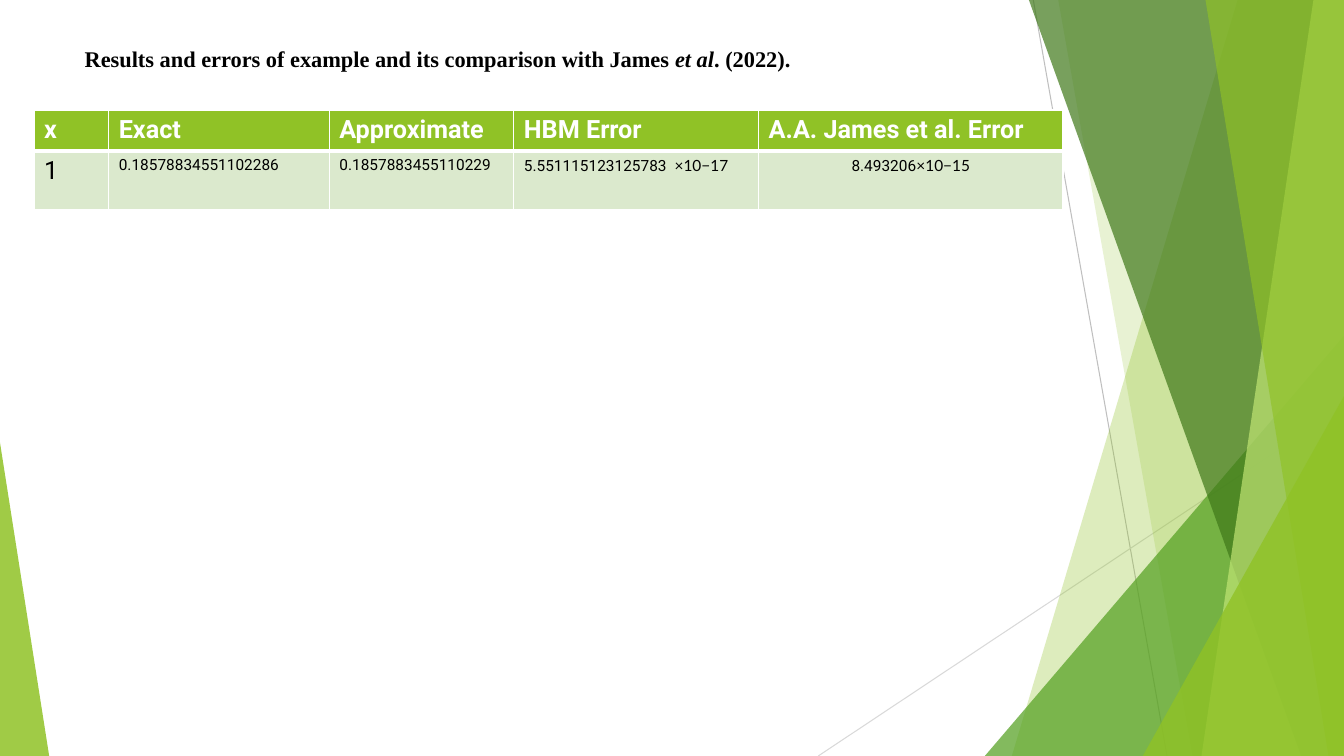
from lxml.etree import SubElement
from pptx import Presentation
from pptx.dml.color import RGBColor
from pptx.enum.shapes import MSO_CONNECTOR, MSO_SHAPE
from pptx.enum.text import MSO_ANCHOR as ANCHOR, MSO_AUTO_SIZE, PP_ALIGN as ALIGN
from pptx.oxml.ns import qn
from pptx.util import Cm, Pt

WHITE = RGBColor(0xFF, 0xFF, 0xFF)
BLACK = RGBColor(0x00, 0x00, 0x00)
LIME = RGBColor(0x90, 0xC2, 0x26)
PALE_LIME = RGBColor(0xC0, 0xE4, 0x74)
GREEN = RGBColor(0x54, 0xA0, 0x21)
DARK_GREEN = RGBColor(0x3F, 0x78, 0x19)
MIST = RGBColor(0xDB, 0xE9, 0xCD)
GREY = RGBColor(0xBF, 0xBF, 0xBF)
LIGHT_GREY = RGBColor(0xD9, 0xD9, 0xD9)

WIDTH, HEIGHT = 33.87, 19.05
COLUMNS = [1.88, 5.56, 4.65, 6.17, 7.67]
ROWS = [1.04, 1.47]
HEADERS = ["x", "Exact", "Approximate", "HBM Error", "A.A. James et al. Error"]


def add_text(p, text, size=11, font="Roboto", color=BLACK, bold=False, italic=False):
    r = p.add_run()
    r.text = text
    f = r.font
    f.size, f.name, f.bold, f.italic = Pt(size), font, bold, italic
    f.color.rgb = color


def fill_shape(sp, color, opacity):
    sp.shadow.inherit = False
    sp.fill.solid()
    sp.fill.fore_color.rgb = color
    sp.line.fill.background()
    clr = sp.fill._xPr.find(qn("a:solidFill"))[0]
    SubElement(clr, qn("a:alpha")).set("val", str(opacity * 1000))


def add_line(s, x1, y1, x2, y2, color):
    c = s.shapes.add_connector(MSO_CONNECTOR.STRAIGHT, Cm(x1), Cm(y1), Cm(x2), Cm(y2))
    c.line.color.rgb = color
    c.line.width = Pt(0.75)
    SubElement(c._element.spPr, qn("a:effectLst"))


def add_band(s, top_x, bottom_x, color, opacity):
    fb = s.shapes.build_freeform(Cm(top_x), 0)
    corners = [(WIDTH, 0), (WIDTH, HEIGHT), (bottom_x, HEIGHT)]
    fb.add_line_segments([(Cm(x), Cm(y)) for x, y in corners], close=True)
    fill_shape(fb.convert_to_shape(), color, opacity)


def add_triangle(s, left, top, width, apex, color, opacity):
    sp = s.shapes.add_shape(MSO_SHAPE.ISOSCELES_TRIANGLE, Cm(left), Cm(top),
                            Cm(width), Cm(HEIGHT - top))
    sp.adjustments[0] = apex
    fill_shape(sp, color, opacity)


def add_decoration(s):
    add_line(s, 26.04, 0, 29.41, HEIGHT, GREY)
    add_line(s, WIDTH, 10.24, 20.62, HEIGHT, LIGHT_GREY)
    add_band(s, 31.19, 25.5, LIME, 30)
    add_band(s, 26.67, 30.05, LIME, 20)
    add_triangle(s, 24.82, 8.46, 9.05, 1, GREEN, 72)
    add_band(s, 25.93, 32.79, DARK_GREEN, 70)
    add_band(s, 33.1, 30.28, PALE_LIME, 70)
    add_band(s, 30.38, 33.48, LIME, 65)
    add_triangle(s, 28.8, 9.98, 5.07, 1, LIME, 80)
    add_triangle(s, 0, 11.15, 1.24, 0, LIME, 85)


def add_title(s):
    sp = s.shapes.title
    sp.left, sp.top, sp.width, sp.height = Cm(1.88), Cm(1.02), Cm(23.88), Cm(1.12)
    tf = sp.text_frame
    tf.word_wrap = True
    tf.auto_size = MSO_AUTO_SIZE.NONE
    tf.vertical_anchor = ANCHOR.TOP
    p = tf.paragraphs[0]
    p.alignment = ALIGN.LEFT
    style = dict(size=16, font="Times New Roman", bold=True)
    add_text(p, "Results and errors of example and its comparison with James ", **style)
    add_text(p, "et al", italic=True, **style)
    add_text(p, ". (2022).", **style)


def style_cell(cell, color, top, bottom):
    tcPr = cell._tc.get_or_add_tcPr()
    for side, width in zip("LRTB", (1, 1, top, bottom)):
        ln = SubElement(tcPr, qn(f"a:ln{side}"), w=str(Pt(width)))
        SubElement(SubElement(ln, qn("a:solidFill")), qn("a:srgbClr"), val=str(WHITE))
    cell.fill.solid()
    cell.fill.fore_color.rgb = color


def add_results(s):
    frame = s.shapes.add_table(len(ROWS), len(COLUMNS), Cm(0.86), Cm(2.77),
                               Cm(sum(COLUMNS)), Cm(sum(ROWS)))
    table = frame.table
    for column, width in zip(table.columns, COLUMNS):
        column.width = Cm(width)
    for row, height in zip(table.rows, ROWS):
        row.height = Cm(height)
    for i, header in enumerate(HEADERS):
        cell = table.cell(0, i)
        style_cell(cell, LIME, 1, 3)
        add_text(cell.text_frame.paragraphs[0], header, size=18, color=WHITE, bold=True)
        style_cell(table.cell(1, i), MIST, 3, 1)

    x, exact, approximate, hbm, james = [
        cell.text_frame.paragraphs[0] for cell in table.rows[1].cells]
    add_text(x, "1", size=18)
    add_text(exact, "0.18578834551102286")
    add_text(approximate, "0.1857883455110229")
    add_text(hbm, "5.551115123125783  ")
    add_text(hbm, "×10−17", font="Lato")
    james.alignment = ALIGN.CENTER
    add_text(james, "8.493206")
    add_text(james, "×10−15", font="Lato")


def main():
    prs = Presentation()
    prs.slide_width, prs.slide_height = Cm(WIDTH), Cm(HEIGHT)
    s = prs.slides.add_slide(prs.slide_layouts[5])
    add_decoration(s)
    add_title(s)
    add_results(s)
    prs.save("out.pptx")


if __name__ == "__main__":
    main()
